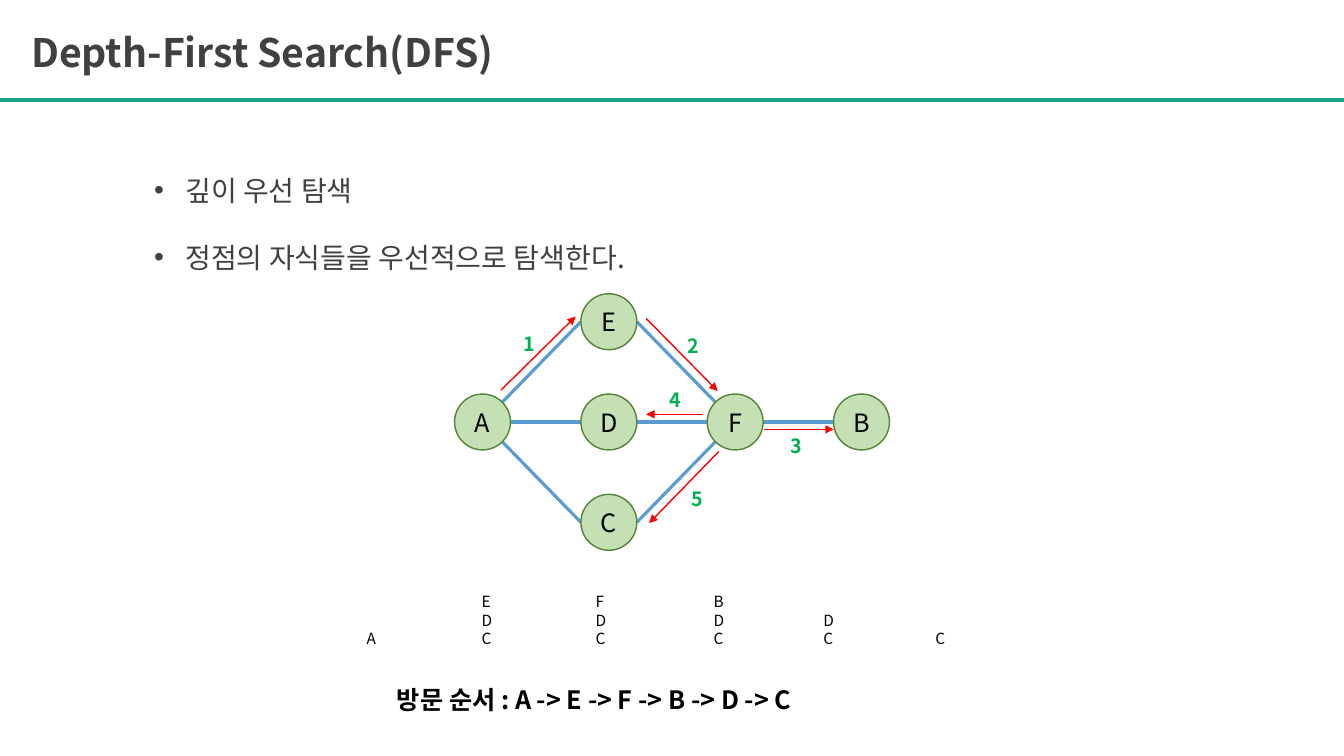
"""Build the depth-first search slide on a grid of 100 columns by 100 rows."""
from lxml import etree
from pptx import Presentation
from pptx.dml.color import RGBColor
from pptx.enum.shapes import MSO_CONNECTOR, MSO_SHAPE
from pptx.enum.text import MSO_ANCHOR, MSO_AUTO_SIZE, PP_ALIGN
from pptx.oxml.ns import qn
from pptx.util import Inches, Pt

LINE, OVAL = MSO_CONNECTOR.STRAIGHT, MSO_SHAPE.OVAL
MIDDLE, CENTER = MSO_ANCHOR.MIDDLE, PP_ALIGN.CENTER
GROW = MSO_AUTO_SIZE.SHAPE_TO_FIT_TEXT
THEME = {
    "font": "Noto Sans CJK KR",
    "title": {"size": 28, "bold": True, "color": "404040"},
    "body": {"size": 20, "bold": False, "color": "404040"},
    "node": {"size": 18, "bold": False, "color": "000000"},
    "step": {"size": 14, "bold": True, "color": "00B050"},
    "stack": {"size": 11, "bold": False, "color": "000000"},
    "visit": {"size": 18, "bold": True, "color": "000000"},
    "rule": ("16A085", 3),
    "edge": ("5B9BD5", 2.25),
    "arrow": ("FF0000", 1),
    "rim": ("548235", 1),
    "fill": "C5E0B4",
}

prs = Presentation()
prs.slide_width, prs.slide_height = Inches(13.33), Inches(7.5)
COL, ROW = prs.slide_width / 100, prs.slide_height / 100
slide = prs.slides.add_slide(prs.slide_layouts[6])
shapes = slide.shapes


def write(shape, lines, style, wrap=True):
    """Fill a shape with one styled paragraph per line."""
    frame = shape.text_frame
    frame.text = "\n".join(lines)
    frame.word_wrap = wrap
    look = THEME[style]
    for para in frame.paragraphs:
        for run in para.runs:
            values = {"name": THEME["font"], "size": Pt(look["size"]), "bold": look["bold"]}
            for key, value in values.items():
                setattr(run.font, key, value)
            run.font.color.rgb = RGBColor.from_string(look["color"])
            east = etree.SubElement(run._r.get_or_add_rPr(), qn("a:ea"))
            east.set("typeface", THEME["font"])
    return frame


def draw(start, end, style):
    """Draw a plain line between two grid points."""
    points = [round(n * unit) for n, unit in zip((*start, *end), (COL, ROW) * 2)]
    line = shapes.add_connector(LINE, *points)
    color, width = THEME[style]
    line.line.color.rgb = RGBColor.from_string(color)
    line.line.width = Pt(width)
    etree.SubElement(line._element.spPr, qn("a:effectLst"))
    return line


boxes = [
    ((1.58, 3.07, 76.1, 7.6), ["Depth-First Search(DFS)"], "title"),
    ((10.73, 22.27, 85.65, 14.8), ["깊이 우선 탐색", "정점의 자식들을 우선적으로 탐색한다."], "body"),
    ((28.8, 89.87, 36.3, 5.33), ["방문 순서 : A -> E -> F -> B -> D -> C"], "visit"),
]
for (left, top, wide, high), lines, style in boxes:
    box = shapes.add_textbox(round(left * COL), round(top * ROW), round(wide * COL), round(high * ROW))
    frame = write(box, lines, style)
    if style == "body":
        for index, para in enumerate(frame.paragraphs):
            props = para._p.get_or_add_pPr()
            props.set("marL", str(Inches(0.31)))
            props.set("indent", str(-Inches(0.31)))
            font = etree.SubElement(props, qn("a:buFont"))
            font.set("typeface", "Arial")
            etree.SubElement(props, qn("a:buChar")).set("char", "•")
            if index:
                para.space_before = Pt(24)

draw((0, 13.2), (100, 13.2), "rule")

places = {"A": (0, 1), "C": (1, 2), "B": (3, 1), "D": (1, 1), "E": (1, 0), "F": (2, 1)}
nodes = {name: (35.9 + 9.4 * x, 42.55 + 13.27 * y) for name, (x, y) in places.items()}
rad = 2.08, 3.7
right, left = (1, 0), (-1, 0)
edges = [
    ("A", (0.71, -0.71), "E", left),
    ("A", right, "D", left),
    ("A", (0.71, 0.71), "C", left),
    ("F", (-0.71, -0.71), "E", right),
    ("D", right, "F", left),
    ("F", (-0.71, 0.71), "C", right),
    ("F", right, "B", left),
]
for first, out, last, into in edges:
    ends = [
        [mid + share * size for mid, share, size in zip(nodes[name], side, rad)]
        for name, side in ((first, out), (last, into))
    ]
    draw(*ends, "edge")

for name, (x, y) in nodes.items():
    size = round(2 * rad[0] * COL)
    node = shapes.add_shape(OVAL, round(x * COL - size / 2), round(y * ROW - size / 2), size, size)
    node.shadow.inherit = False
    node.fill.solid()
    node.fill.fore_color.rgb = RGBColor.from_string(THEME["fill"])
    color, width = THEME["rim"]
    node.line.color.rgb = RGBColor.from_string(color)
    node.line.width = Pt(width)
    frame = write(node, [name], "node")
    frame.vertical_anchor = MIDDLE
    frame.paragraphs[0].alignment = CENTER

steps = [
    ((37.28, 51.6), (42.83, 41.87), (38.18, 43.2)),
    ((48.08, 42.13), (53.4, 51.73), (50.4, 43.47)),
    ((56.85, 56.8), (62.03, 56.8), (58.05, 56.8)),
    ((52.28, 54.8), (48.08, 54.8), (49.05, 50.67)),
    ((53.48, 59.73), (48.3, 69.2), (50.7, 63.73)),
]
for number, (start, end, (x, y)) in enumerate(steps, 1):
    arrow = draw(start, end, "arrow")
    tail = etree.SubElement(arrow.line._get_or_add_ln(), qn("a:tailEnd"))
    tail.set("type", "triangle")
    box = shapes.add_textbox(round(x * COL), round(y * ROW), round(2.25 * COL), round(4.27 * ROW))
    write(box, [str(number)], "step", False).auto_size = GROW

stacks = [(26.55, "A"), (35.1, "EDC"), (43.58, "FDC"), (52.35, "BDC"), (60.53, "DC"), (68.85, "C")]
for x, names in stacks:
    high = 1.33 + 2.45 * len(names)
    box = shapes.add_textbox(round(x * COL), round((86.4 - high) * ROW), round(2.3 * COL), round(high * ROW))
    write(box, names, "stack", False).auto_size = GROW

prs.save("out.pptx")
